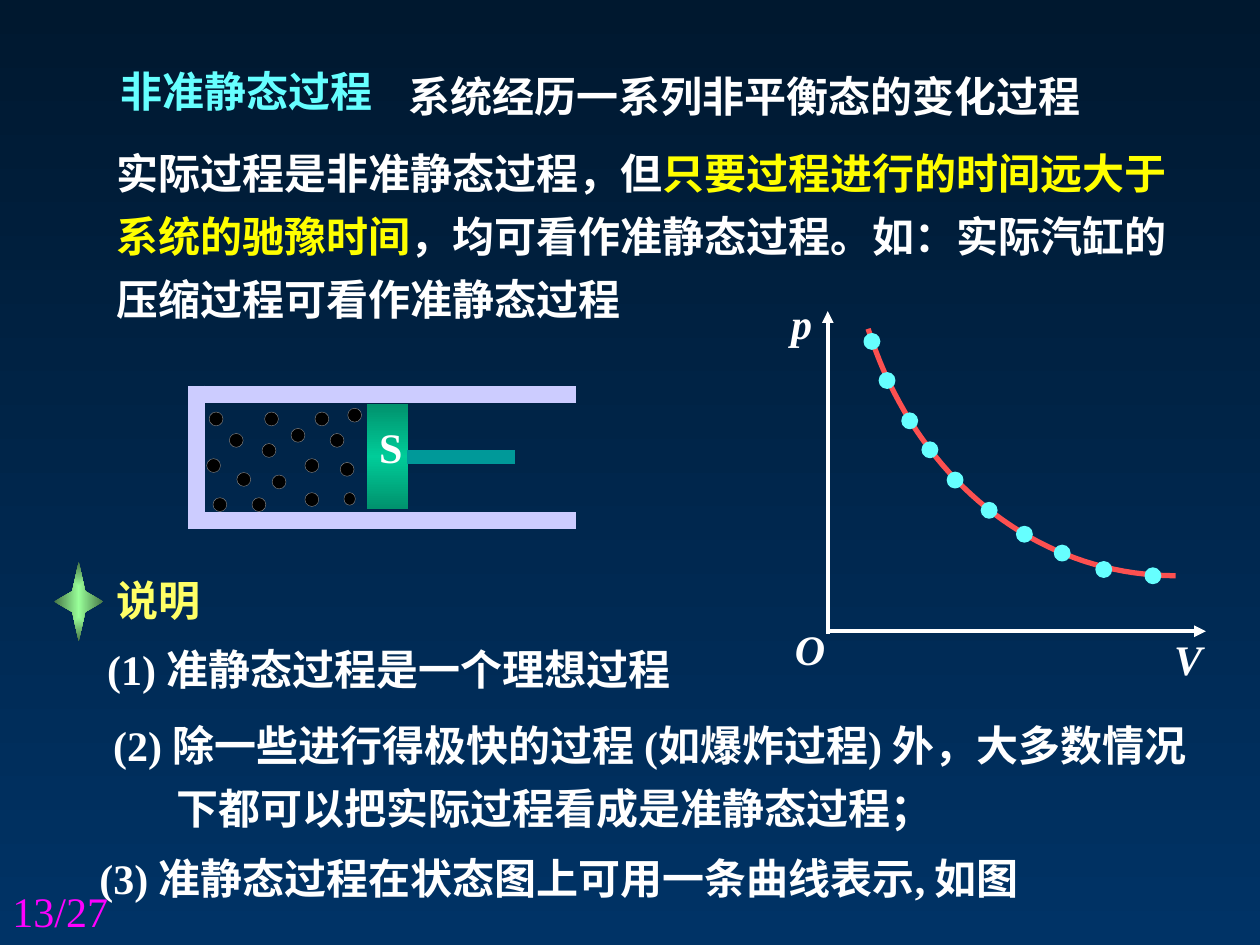
from lxml import etree
from pptx import Presentation
from pptx import util as u
from pptx.dml.color import RGBColor
from pptx.enum import shapes, text
from pptx.oxml import ns

SANS, SERIF = "Noto Sans CJK SC", "Times New Roman"
WHITE = RGBColor(0xFF, 0xFF, 0xFF)
BLACK = RGBColor(0, 0, 0)
GRAY = RGBColor(0x80, 0x80, 0x80)
CYAN = RGBColor(0x66, 0xFF, 0xFF)
YELLOW = RGBColor(0xFF, 0xFF, 0)
PALE_YELLOW = RGBColor(0xFF, 0xFF, 0x66)
MAGENTA = RGBColor(0xFF, 0, 0xFF)
LAVENDER = RGBColor(0xCC, 0xCC, 0xFF)
TEAL = RGBColor(0, 0x99, 0x99)
RED = RGBColor(0xFC, 0x50, 0x50)
NIGHT, NAVY = RGBColor(0, 0x18, 0x2F), RGBColor(0, 0x33, 0x66)
DARK_GREEN, GREEN = RGBColor(0, 0x92, 0x6D), RGBColor(0, 0xCC, 0x99)
MINT, MOSS = RGBColor(0x99, 0xFF, 0x99), RGBColor(0x47, 0x76, 0x47)


def add_element(parent, tag, **attributes):
    return etree.SubElement(parent, ns.qn(tag), **attributes)


class SlideBuilder:
    """Holds the text style and the slide being filled."""
    size = u.Pt(24)

    def __init__(self, slide):
        self.slide = slide

    def gradient(self, fill, element, colors, radial=False):
        """Evenly spaced colours, from the top down or from the centre out."""
        fill.gradient()
        gradient = element.find(".//" + ns.qn("a:gradFill"))
        for child in list(gradient):
            gradient.remove(child)
        stops = add_element(gradient, "a:gsLst")
        for index, color in enumerate(colors):
            position = 100000 * index // (len(colors) - 1)
            stop = add_element(stops, "a:gs", pos=str(position))
            add_element(stop, "a:srgbClr", val=str(color))
        if radial:
            path = add_element(gradient, "a:path", path="shape")
            add_element(path, "a:fillToRect", l="50000", t="50000", r="50000", b="50000")
        else:
            add_element(gradient, "a:lin", ang="5400000", scaled="0")

    def background(self, *colors):
        self.gradient(self.slide.background.fill, self.slide._element, colors)

    def text(self, left, top, width, height, runs, font=SERIF, color=WHITE, bold=True,
             italic=False, wrap=True, spacing=None, hanging=0, inset=0.1):
        """Runs are (text, font, colour); a plain string is a single run."""
        box = self.slide.shapes.add_textbox(
            u.Inches(left), u.Inches(top), u.Inches(width), u.Inches(height))
        frame = box.text_frame
        frame.word_wrap = wrap
        frame.auto_size = text.MSO_AUTO_SIZE.SHAPE_TO_FIT_TEXT
        frame.margin_left = u.Inches(inset)
        paragraph = frame.paragraphs[0]
        if spacing:
            paragraph.line_spacing = spacing
        if hanging:
            properties = paragraph._p.get_or_add_pPr()
            properties.set("marL", str(u.Inches(hanging)))
            properties.set("indent", str(-u.Inches(hanging)))
        style = paragraph.font
        style.size, style.bold, style.italic = self.size, bold, italic
        style.name, style.color.rgb = font, color
        add_element(style._element, "a:ea", typeface=SANS)
        if isinstance(runs, str):
            paragraph.add_run().text = runs
            return
        for words, run_font, run_color in runs:
            run = paragraph.add_run()
            run.text = words
            run.font.name, run.font.color.rgb = run_font, run_color
            add_element(run.font._element, "a:ea", typeface=SANS)

    def line(self, start, end, color, width, arrow=False):
        connector = self.slide.shapes.add_connector(
            shapes.MSO_CONNECTOR.STRAIGHT, *map(u.Inches, start + end))
        connector.line.color.rgb = color
        connector.line.width = u.Pt(width)
        if arrow:
            add_element(connector.line._get_or_add_ln(), "a:tailEnd", type="triangle")
        add_element(connector._element.spPr, "a:effectLst")

    def shape(self, kind, left, top, width, height):
        shape = self.slide.shapes.add_shape(
            kind, u.Inches(left), u.Inches(top), u.Inches(width), u.Inches(height))
        shape.shadow.inherit = False
        shape.line.fill.background()
        return shape

    def dot(self, left, top, width, height, fill, line, line_width):
        dot = self.shape(shapes.MSO_SHAPE.OVAL, left, top, width, height)
        dot.fill.solid()
        dot.fill.fore_color.rgb = fill
        dot.line.color.rgb = line
        dot.line.width = u.Pt(line_width)

    def curve(self, controls, color, width, steps=40):
        """A cubic curve through four control points."""
        points = []
        for step in range(steps + 1):
            t = step / steps
            weights = ((1 - t) ** 3, 3 * t * (1 - t) ** 2, 3 * t * t * (1 - t), t ** 3)
            points.append(tuple(
                u.Inches(sum(w * value for w, value in zip(weights, axis)))
                for axis in zip(*controls)))
        builder = self.slide.shapes.build_freeform(*points[0])
        builder.add_line_segments(points[1:], close=False)
        curve = builder.convert_to_shape()
        curve.shadow.inherit = False
        curve.fill.background()
        curve.line.color.rgb = color
        curve.line.width = u.Pt(width)


def main():
    presentation = Presentation()
    presentation.slide_width, presentation.slide_height = u.Inches(10), u.Inches(7.5)
    page = SlideBuilder(presentation.slides.add_slide(presentation.slide_layouts[6]))
    page.background(NIGHT, NAVY)

    # Definition
    page.text(0.86, 0.47, 2.52, 0.5, "非准静态过程", SANS, CYAN)
    page.text(3.14, 0.41, 6.32, 0.6, "系统经历一系列非平衡态的变化过程", SANS, spacing=1.25)
    page.text(0.83, 1.02, 8.7, 1.62, [
        ("实际过程是非准静态过程，但", SERIF, WHITE),
        ("只要过程进行的时间远大于系统的驰豫时间", SERIF, YELLOW),
        ("，均可看作准静态过程。如：", SERIF, WHITE),
        ("实际汽缸的压缩过程可看作准静态过程", SANS, WHITE)], spacing=1.25)

    # Cylinder and piston
    for wall_y in (3.13, 4.13):
        page.line((1.66 - 0.07, wall_y), (4.57, wall_y), LAVENDER, 10)
    page.line((1.56, 3.06), (1.56, 4.2), LAVENDER, 10)
    piston = page.shape(shapes.MSO_SHAPE.RECTANGLE, 2.91, 3.21, 0.33, 0.83)
    page.gradient(piston.fill, piston._element.spPr, (DARK_GREEN, GREEN, DARK_GREEN))
    page.line((3.23, 3.63), (4.09, 3.63), TEAL, 8)
    page.text(2.91, 3.3, 0.39, 0.5, "S", wrap=False)

    # Gas molecules
    molecules = [(1.66, 3.27), (1.82, 3.44), (1.88, 3.75), (2.16, 3.77), (2.42, 3.64),
                 (2.5, 3.27), (2.31, 3.4), (2.1, 3.27), (2, 3.95), (2.62, 3.44),
                 (2.08, 3.52), (1.64, 3.64), (1.69, 3.95), (2.7, 3.67), (2.42, 3.91),
                 (2.76, 3.24)]
    for left, top in molecules:
        page.dot(left, top, 0.11, 0.11, BLACK, GRAY, 0.25)
    page.dot(2.73, 3.91, 0.09, 0.1, BLACK, GRAY, 0.25)

    # Remarks
    star = page.shape(shapes.MSO_SHAPE.STAR_4_POINT, 0.43, 4.46, 0.39, 0.63)
    star.adjustments[0] = 0.185
    page.gradient(star.fill, star._element.spPr, (MINT, MOSS), radial=True)
    page.text(0.83, 4.51, 1.26, 0.5, "说明", SANS, PALE_YELLOW)
    page.text(0.67, 5.06, 6.03, 0.5, [
        ("(1) ", SERIF, WHITE), ("准静态过程是一个理想过程", SANS, WHITE)], inset=0.18)
    page.text(0.8, 5.56, 8.82, 1.11, [
        ("(2) 除一些进行得极快的过程 (如爆炸过程) 外，", SERIF, WHITE),
        ("大多数情况下都可以把实际过程看成是准静态过程；", SANS, WHITE)],
        spacing=1.25, hanging=0.5)
    page.text(0.61, 6.72, 8.17, 0.5, [
        ("(3) ", SERIF, WHITE), ("准静态过程在状态图上", SANS, WHITE),
        ("可用一条曲线表示,", SERIF, WHITE), (" 如图", SANS, WHITE)],
        wrap=False, inset=0.18)

    # State diagram
    page.line((6.57, 5.01), (9.57, 5.01), WHITE, 2.25, arrow=True)
    page.line((6.57, 5.03), (6.57, 2.47), WHITE, 2.25, arrow=True)
    for left, top, width, label in ((6.21, 4.9, 0.44, "O"), (9.22, 4.98, 0.42, "V"),
                                    (6.18, 2.31, 0.37, "p")):
        page.text(left, top, width, 0.5, label, italic=True, wrap=False)
    page.curve([(9.33, 4.57), (8.22, 4.57), (7.26, 3.79), (6.89, 2.61)], RED, 3)
    states = [(6.86, 2.65), (6.98, 2.96), (7.16, 3.28), (7.32, 3.51), (7.52, 3.75),
              (7.79, 3.99), (8.07, 4.18), (8.37, 4.33), (8.7, 4.46), (9.09, 4.51)]
    for left, top in states:
        page.dot(left, top, 0.12, 0.12, CYAN, CYAN, 1)

    # Page number
    page.text(0, 6.98, 2.33, 0.52, "13/27", color=MAGENTA, bold=False)

    presentation.save("out.pptx")


if __name__ == "__main__":
    main()
